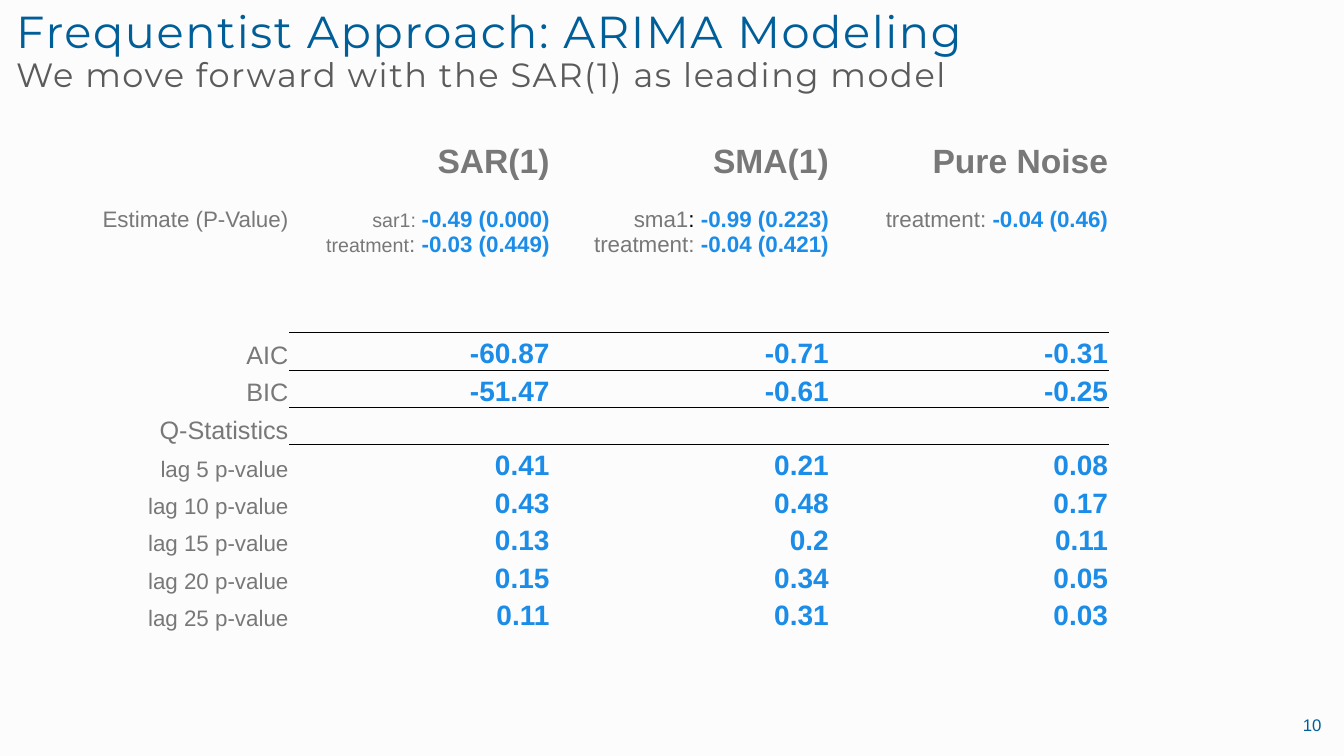
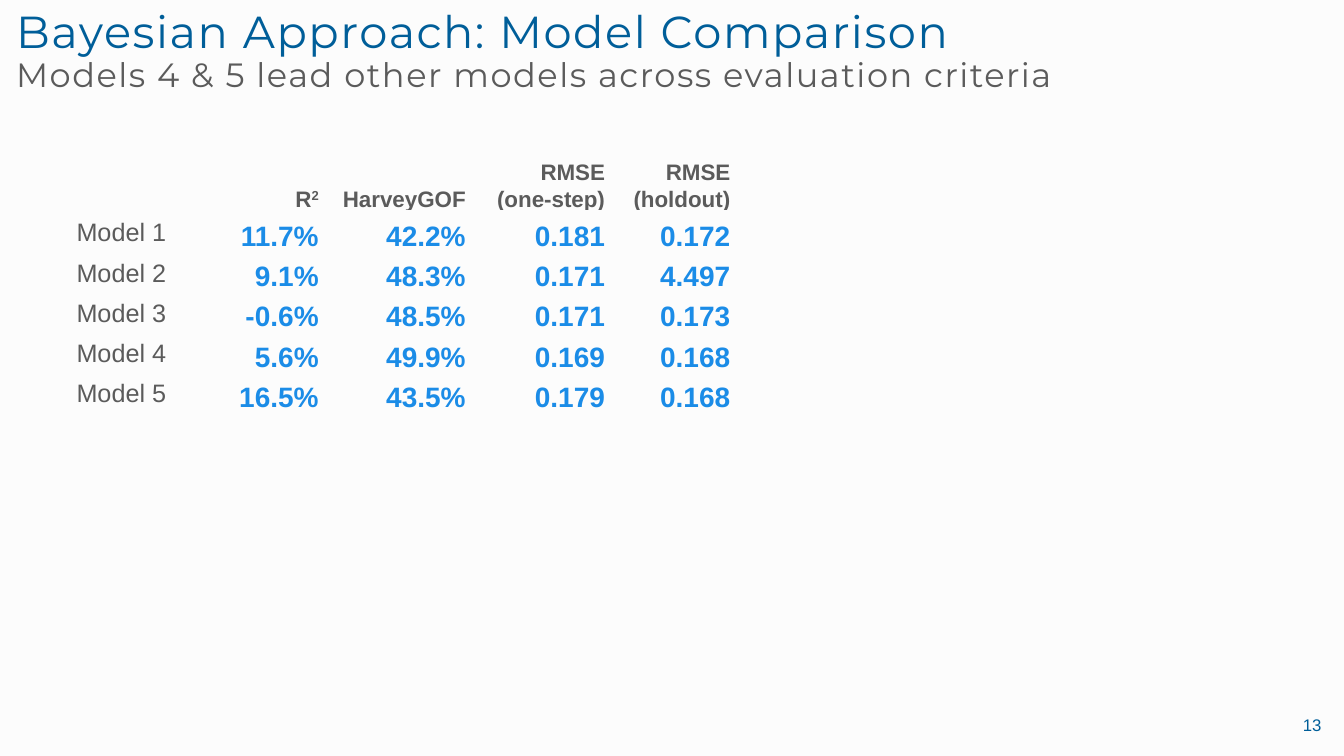
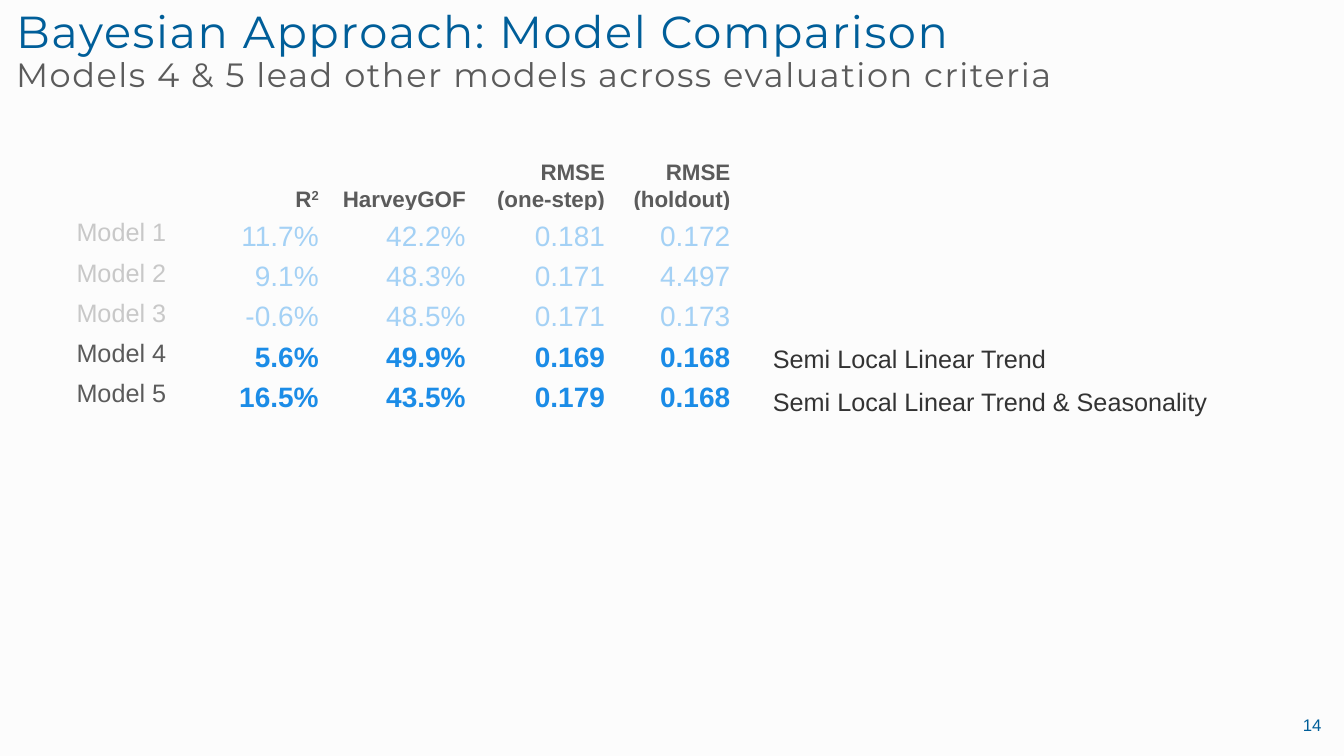
from lxml import etree
from pptx import Presentation
from pptx.dml.color import RGBColor
from pptx.enum.text import MSO_ANCHOR as ANCHOR, MSO_AUTO_SIZE as AUTOSIZE, PP_ALIGN as ALIGN
from pptx.oxml.ns import qn
from pptx.util import Pt

PAPER = RGBColor(0xFC, 0xFC, 0xFC)
NAVY = RGBColor(0x00, 0x5E, 0x99)
BLUE = RGBColor(0x1B, 0x8C, 0xE7)
PALE_BLUE = RGBColor(0xA4, 0xD1, 0xF5)
CHARCOAL = RGBColor(0x33, 0x33, 0x33)
SLATE = RGBColor(0x5B, 0x5B, 0x5B)
GREY = RGBColor(0x78, 0x78, 0x78)
PALE_GREY = RGBColor(0xC8, 0xC8, 0xC8)
BLACK = RGBColor(0, 0, 0)

TITLE_FONT = "Montserrat"
BODY_FONT = "Arial"
NO_TABLE_STYLE = "{2D5ABB26-0587-4C30-8999-92F81FD0307C}"

PAGE_NUMBER = (12, NAVY, False)
TREND = (18, CHARCOAL, False)
ARIMA_HEAD = (24, GREY, True)
STATISTIC = (18, GREY, False)
TERM = (16, GREY, False)
SMALL_TERM = (14, GREY, False)
COLON = (16, BLACK, False)
ESTIMATE = (16, BLUE, True)
VALUE = (20, BLUE, True)
FADED_VALUE = (20, PALE_BLUE, False)
CRITERION = (16, SLATE, True)
MODEL = (18, SLATE, False)
FADED_MODEL = (18, PALE_GREY, False)

ARIMA_TITLE = ("Frequentist Approach: ARIMA Modeling",
               "We move forward with the SAR(1) as leading model")
BAYES_TITLE = ("Bayesian Approach: Model Comparison",
               "Models 4 & 5 lead other models across evaluation criteria")

ARIMA_MODELS = ["", "SAR(1)", "SMA(1)", "Pure Noise"]
ESTIMATES = [
    [("Estimate (P-Value)", TERM)],
    [("sar1: ", SMALL_TERM), ("-0.49 (0.000)", ESTIMATE), ("\n", TERM),
     ("treatment", SMALL_TERM), (": ", TERM), ("-0.03 (0.449)", ESTIMATE)],
    [("sma1", TERM), (": ", COLON), ("-0.99 (0.223)", ESTIMATE), ("\n", TERM),
     ("treatment:", TERM), (" -0.04 (0.421)", ESTIMATE)],
    [("treatment:", TERM), (" -0.04 (0.46)", ESTIMATE)],
]
ARIMA_FIT = [
    ("AIC", "-60.87", "-0.71", "-0.31"),
    ("BIC", "-51.47", "-0.61", "-0.25"),
    ("Q-Statistics", "", "", ""),
    ("lag 5 p-value", "0.41", "0.21", "0.08"),
    ("lag 10 p-value", "0.43", "0.48", "0.17"),
    ("lag 15 p-value", "0.13", "0.2", "0.11"),
    ("lag 20 p-value", "0.15", "0.34", "0.05"),
    ("lag 25 p-value", "0.11", "0.31", "0.03"),
    ("", "", "", ""),
]
RULED_AFTER = (1, 3)

CRITERIA = ["", "R", "HarveyGOF", "RMSE (one-step)", "RMSE (holdout)"]
BAYES_FIT = [
    ("Model 1", "11.7%", "42.2%", "0.181", "0.172"),
    ("Model 2", "9.1%", "48.3%", "0.171", "4.497"),
    ("Model 3", "-0.6%", "48.5%", "0.171", "0.173"),
    ("Model 4", "5.6%", "49.9%", "0.169", "0.168"),
    ("Model 5", "16.5%", "43.5%", "0.179", "0.168"),
]
LEADERS = ("Model 4", "Model 5")
TRENDS = ["Semi Local Linear Trend", "Semi Local Linear Trend & Seasonality"]


def style_font(font, style, name=BODY_FONT):
    size, color, bold = style
    font.name, font.size, font.bold = name, Pt(size), bold
    font.color.rgb = color


def write(paragraph, runs, align=ALIGN.LEFT, spacing=None):
    paragraph.alignment = align
    paragraph.line_spacing = spacing
    base = runs[0][1]
    style_font(paragraph.font, base)
    for text, style in runs:
        if text == "\n":
            paragraph.add_line_break()
        elif text:
            run = paragraph.add_run()
            run.text = text
            if style != base:
                style_font(run.font, style)


def add_text(slide, box, lines, style, align=ALIGN.LEFT, spacing=None, after=0):
    frame = slide.shapes.add_textbox(*map(Pt, box)).text_frame
    frame.word_wrap = True
    for index, line in enumerate(lines):
        paragraph = frame.add_paragraph() if index else frame.paragraphs[0]
        write(paragraph, [(line, style)], align, spacing)
        paragraph.space_after = Pt(after)


def add_slide(prs, heading, number):
    slide = prs.slides.add_slide(prs.slide_layouts[5])
    title = slide.shapes.title
    title.left, title.top, title.width, title.height = map(Pt, (4.3, 3.6, 951, 79))
    frame = title.text_frame
    frame.vertical_anchor, frame.auto_size = ANCHOR.TOP, AUTOSIZE.NONE
    paragraph = frame.paragraphs[0]
    paragraph.alignment, paragraph.line_spacing = ALIGN.LEFT, 0.9
    style_font(paragraph.font, (32, NAVY, False), TITLE_FONT)
    paragraph._p.pPr.find(qn("a:defRPr")).set("spc", "110")
    topic, message = heading
    paragraph.add_run().text = topic
    paragraph.add_line_break()
    subtitle = paragraph.add_run()
    subtitle.text = message
    subtitle.font.size, subtitle.font.color.rgb = Pt(24), SLATE
    add_text(slide, (735, 507, 216, 29), [str(number)], PAGE_NUMBER, ALIGN.RIGHT)
    return slide


def add_grid(slide, left, top, widths, heights):
    frame = slide.shapes.add_table(len(heights), len(widths), Pt(left), Pt(top),
                                   Pt(sum(widths)), Pt(sum(heights)))
    table = frame.table
    table.first_row = table.horz_banding = False
    table._tbl.tblPr.find(qn("a:tableStyleId")).text = NO_TABLE_STYLE
    for column, width in zip(table.columns, widths):
        column.width = Pt(width)
    for row, height in zip(table.rows, heights):
        row.height = Pt(height)
    return table


def fill_cell(cell, runs, anchor, insets, borders, align=ALIGN.RIGHT, spacing=None):
    side, upper = insets
    cell.margin_left = cell.margin_right = Pt(side)
    cell.margin_top, cell.margin_bottom = Pt(upper), 0
    cell.vertical_anchor = anchor
    write(cell.text_frame.paragraphs[0], runs, align, spacing)
    for edge in "LRTB":
        if edge in borders:
            color, width = borders[edge]
            line = etree.SubElement(cell._tc.get_or_add_tcPr(), qn(f"a:ln{edge}"), w=str(Pt(width)))
            solid = etree.SubElement(line, qn("a:solidFill"))
            etree.SubElement(solid, qn("a:srgbClr"), val=str(color))
    cell.fill.background()


def add_arima_table(slide):
    rows = [(ANCHOR.MIDDLE, [[(name, ARIMA_HEAD)] for name in ARIMA_MODELS]),
            (ANCHOR.TOP, ESTIMATES)]
    for label, *values in ARIMA_FIT:
        label_style = TERM if label.startswith("lag") else STATISTIC
        rows.append((ANCHOR.BOTTOM, [[(label, label_style)]] + [[(v, VALUE)] for v in values]))
    heights = [64, 90] + [26.7] * 8 + [25]
    table = add_grid(slide, 18.7, 83.5, [188, 186.5, 199.5, 199.5], heights)
    for r, (anchor, cells) in enumerate(rows):
        for c, runs in enumerate(cells):
            borders = {}
            if c and r in RULED_AFTER:
                borders["B"] = (BLACK, 0.5)
            if c and r - 1 in RULED_AFTER:
                borders["T"] = (BLACK, 0.5)
            fill_cell(table.cell(r, c), runs, anchor, (0.7, 0.7), borders)


def add_bayes_table(slide, highlighted):
    rows = [[(name, CRITERION) for name in CRITERIA]]
    for label, *values in BAYES_FIT:
        lead = label in highlighted
        rows.append([(label, MODEL if lead else FADED_MODEL)]
                    + [(v, VALUE if lead else FADED_VALUE) for v in values])
    table = add_grid(slide, 49.7, 110.2, [90, 93, 105, 99.5, 89.5], [37.5] + [28.8] * 5)
    for r, cells in enumerate(rows):
        for c, run in enumerate(cells):
            borders = dict.fromkeys("LRTB", (PAPER, 1))
            if r == 0:
                borders["B"] = (PAPER, 3)
            elif r == 1:
                borders["T"] = (PAPER, 3)
            is_label = r > 0 and c == 0
            fill_cell(table.cell(r, c), [run], ANCHOR.MIDDLE if is_label else ANCHOR.BOTTOM,
                      (5, 0), borders, ALIGN.LEFT if is_label else ALIGN.RIGHT, 1.07)
    square = table.cell(0, CRITERIA.index("R")).text_frame.paragraphs[0].add_run()
    square.text = "2"
    square._r.get_or_add_rPr().set("baseline", "30000")


def main():
    prs = Presentation()
    prs.slide_width, prs.slide_height = Pt(960), Pt(540)
    backdrop = prs.slide_master.background.fill
    backdrop.solid()
    backdrop.fore_color.rgb = PAPER

    add_arima_table(add_slide(prs, ARIMA_TITLE, 10))
    add_bayes_table(add_slide(prs, BAYES_TITLE, 13), [row[0] for row in BAYES_FIT])
    leaders = add_slide(prs, BAYES_TITLE, 14)
    add_bayes_table(leaders, LEADERS)
    add_text(leaders, (545, 240, 406, 61), TRENDS, TREND, spacing=1.07, after=8)
    prs.save("out.pptx")


if __name__ == "__main__":
    main()
